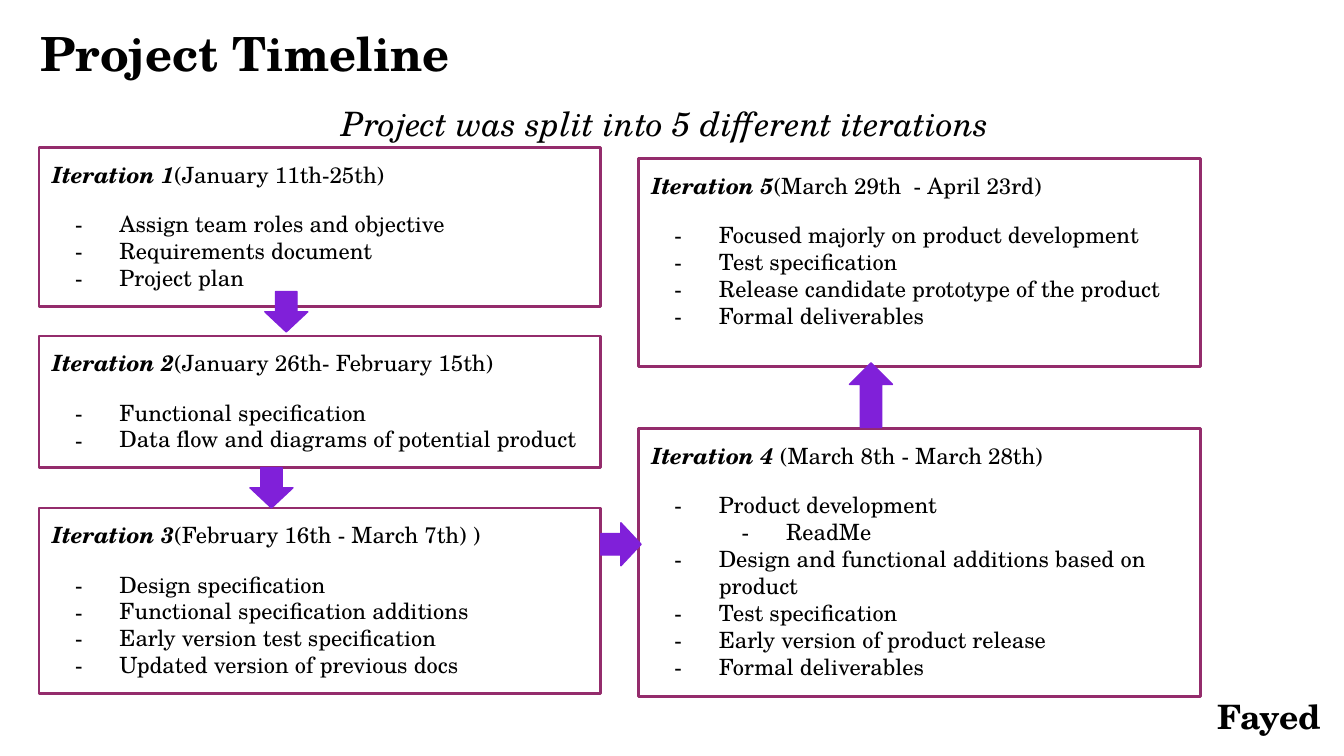
from lxml import etree
from pptx import Presentation
from pptx.dml.color import RGBColor
from pptx.enum.shapes import MSO_SHAPE
from pptx.enum.text import MSO_ANCHOR, PP_ALIGN
from pptx.oxml.ns import qn
from pptx.util import Inches, Pt

RECT, ARROW = MSO_SHAPE.RECTANGLE, MSO_SHAPE.DOWN_ARROW
LEFT, CENTER, RIGHT = PP_ALIGN.LEFT, PP_ALIGN.CENTER, PP_ALIGN.RIGHT
TOP = MSO_ANCHOR.TOP

THEME = {
    "font": "TeX Gyre Schola",
    "text": RGBColor(0x00, 0x00, 0x00),
    "border": RGBColor(0x94, 0x2C, 0x6C),
    "arrow": RGBColor(0x80, 0x20, 0xD9),
    "title": 25.2, "large": 18, "body": 12,
}

# Content: text, (left, top, width, height), size, alignment, bold, italic
HEADINGS = [
    ("Project Timeline", (0.2, 0.08, 9.32, 0.63), "title", LEFT, True, False),
    ("Project was split into 5 different iterations", (0.29, 0.62, 9.32, 3.74),
     "large", CENTER, False, True),
    ("Fayed ", (7.61, 5.08, 2.39, 0.5), "large", RIGHT, True, False),
]
SUBTITLE_SPACING = 1.15

# Column, top, height, name, dates, items as (level, text)
COLUMNS, BOX_WIDTH = (0.29, 4.75), 4.18
ITERATIONS = [
    (0, 1.1, 1.18, "Iteration 1", "(January 11th-25th)", [
        (0, "Assign team roles and objective"),
        (0, "Requirements document"),
        (0, "Project plan")]),
    (0, 2.5, 0.98, "Iteration 2", "(January 26th- February 15th)", [
        (0, "Functional specification"),
        (0, "Data flow and diagrams of potential product")]),
    (0, 3.78, 1.38, "Iteration 3", "(February 16th - March 7th) )", [
        (0, "Design specification"),
        (0, "Functional specification additions"),
        (0, "Early version test specification"),
        (0, "Updated version of previous docs")]),
    (1, 1.18, 1.55, "Iteration 5", "(March 29th  - April 23rd)", [
        (0, "Focused majorly on product development"),
        (0, "Test specification"),
        (0, "Release candidate prototype of the product"),
        (0, "Formal deliverables")]),
    (1, 3.19, 1.99, "Iteration 4 ", "(March 8th - March 28th)", [
        (0, "Product development"),
        (1, "ReadMe"),
        (0, "Design and functional additions based on product"),
        (0, "Test specification"),
        (0, "Early version of product release"),
        (0, "Formal deliverables")]),
]

# Left, top, length, rotation
ARROW_WIDTH = 0.32
ARROWS = [
    (1.97, 2.17, 0.3, 0),
    (1.86, 3.48, 0.3, 0),
    (4.46, 3.9, 0.3, 270),
    (6.32, 2.7, 0.48, 180),
]


def prepare_text(shape):
    tf = shape.text_frame
    tf.word_wrap = True
    tf.vertical_anchor = TOP
    tf.margin_left = tf.margin_right = Inches(0.1)
    tf.margin_top = tf.margin_bottom = Inches(0.1)
    return tf


def add_run(p, text, size, bold=False, italic=False):
    r = p.add_run()
    r.text = text
    r.font.name = THEME["font"]
    r.font.size = Pt(THEME[size])
    r.font.color.rgb = THEME["text"]
    r.font.bold, r.font.italic = bold, italic


def add_dash(p, level):
    p.level = level
    pPr = p._p.get_or_add_pPr()
    pPr.set("marL", str(Inches(0.5 * (level + 1))))
    pPr.set("indent", str(Inches(-0.33)))
    color = etree.SubElement(pPr, qn("a:buClr"))
    etree.SubElement(color, qn("a:srgbClr"), val=str(THEME["text"]))
    etree.SubElement(pPr, qn("a:buFont"), typeface=THEME["font"])
    etree.SubElement(pPr, qn("a:buChar"), char="-")


def add_shape(s, kind, bounds, line, width):
    sp = s.shapes.add_shape(kind, *map(Inches, bounds))
    sp.shadow.inherit = False
    sp.line.color.rgb = line
    sp.line.width = Pt(width)
    return sp


def add_heading(s, text, bounds, size, align, bold, italic):
    tf = prepare_text(s.shapes.add_textbox(*map(Inches, bounds)))
    p = tf.paragraphs[0]
    p.alignment = align
    if align == CENTER:
        p.line_spacing = SUBTITLE_SPACING
    add_run(p, text, size, bold, italic)


def add_iteration(s, column, top, height, name, dates, items):
    bounds = (COLUMNS[column], top, BOX_WIDTH, height)
    sp = add_shape(s, RECT, bounds, THEME["border"], 1.5)
    sp.fill.background()
    tf = prepare_text(sp)
    p = tf.paragraphs[0]
    p.alignment = LEFT
    add_run(p, name, "body", bold=True, italic=True)
    add_run(p, dates, "body")
    for i, (level, text) in enumerate(items):
        p = tf.add_paragraph()
        add_dash(p, level)
        p.alignment = LEFT
        if i == 0:
            p.space_before = Pt(12)
        add_run(p, text, "body")


def add_arrow(s, left, top, length, rotation):
    sp = add_shape(s, ARROW, (left, top, ARROW_WIDTH, length), THEME["arrow"], 0.75)
    sp.fill.solid()
    sp.fill.fore_color.rgb = THEME["arrow"]
    sp.rotation = rotation


def main():
    prs = Presentation()
    # Widescreen page, 16:9
    prs.slide_width = Inches(10)
    prs.slide_height = prs.slide_width * 9 // 16
    s = prs.slides.add_slide(prs.slide_layouts[6])
    for heading in HEADINGS:
        add_heading(s, *heading)
    for iteration in ITERATIONS:
        add_iteration(s, *iteration)
    for arrow in ARROWS:
        add_arrow(s, *arrow)
    prs.save("out.pptx")


if __name__ == "__main__":
    main()
